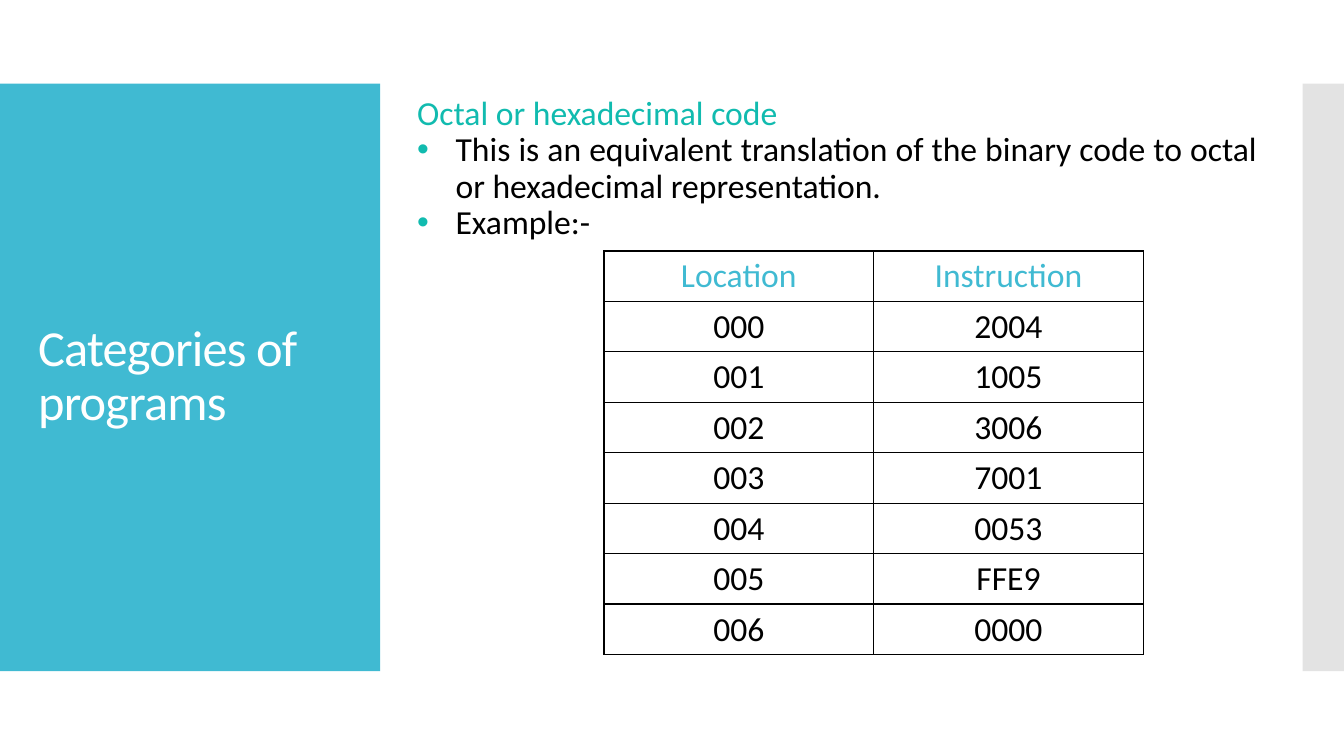
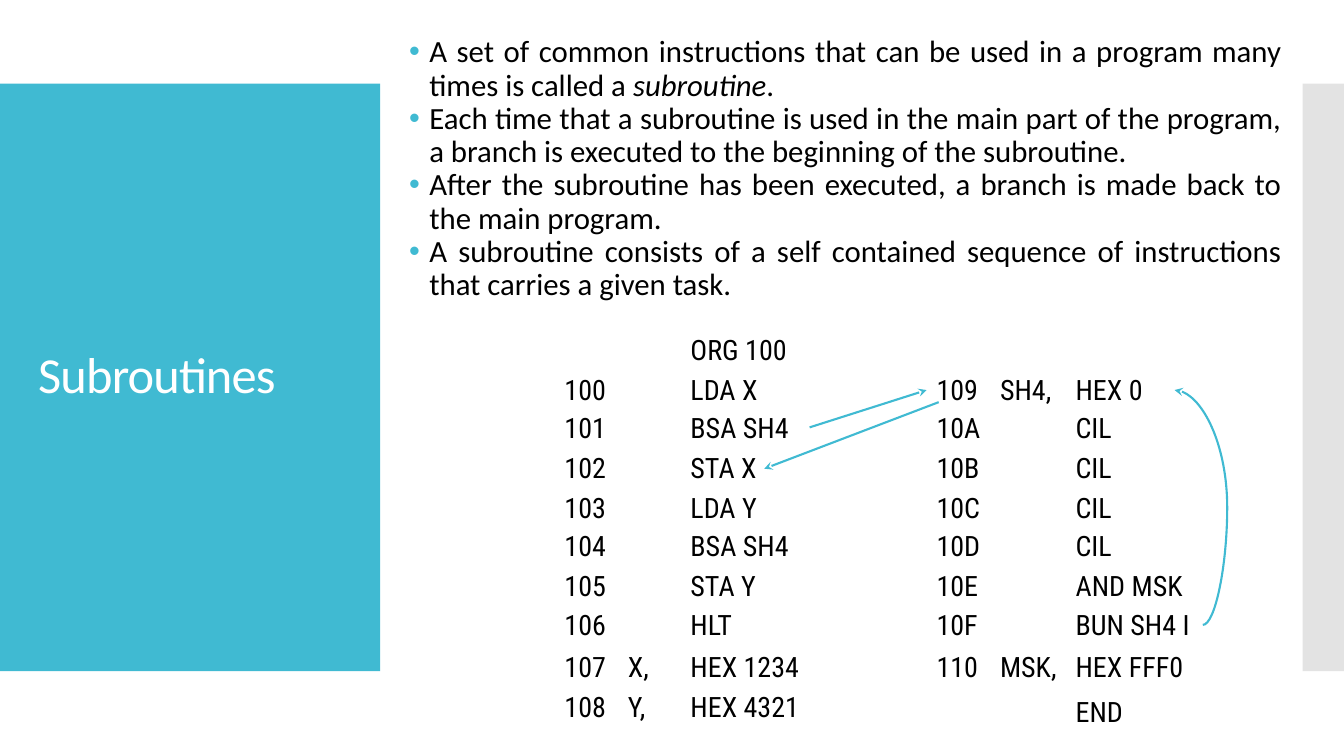
from dataclasses import dataclass

from lxml.etree import SubElement
from pptx import Presentation
from pptx.dml.color import RGBColor
from pptx.enum.shapes import MSO_CONNECTOR, MSO_SHAPE
from pptx.enum.text import MSO_ANCHOR, PP_ALIGN
from pptx.oxml import parse_xml
from pptx.oxml.ns import nsdecls, qn
from pptx.util import Inches, Pt

# Shared style
BLUE = "40BAD2"
TEAL = "11BBAF"
GREY = "C8C8C8"
BLACK = "000000"
WHITE = "FFFFFF"
TEXT_FONT = "Calibri"
CODE_FONT = "Roboto Condensed"
BAND_TOP, BAND_HEIGHT = 0.83, 5.83


@dataclass(frozen=True)
class Box:
    left: float
    top: float
    width: float
    height: float

    def lengths(self) -> tuple:
        return tuple(Inches(v) for v in (self.left, self.top, self.width, self.height))


@dataclass(frozen=True)
class BodyLine:
    text: str
    color: str = BLACK
    bulleted: bool = True
    italic_word: str = ""


@dataclass(frozen=True)
class BodyStyle:
    size: int
    indent: float
    bullet_color: str


@dataclass(frozen=True)
class CodeLine:
    address: str
    label: str
    instruction: str
    drop: float = 0


@dataclass(frozen=True)
class Arrow:
    start: tuple[float, float]
    end: tuple[float, float]
    bend: int | None = None


# Content
OCTAL_BODY = [
    BodyLine("Octal or hexadecimal code", TEAL, bulleted=False),
    BodyLine("This is an equivalent translation of the binary code to octal "
             "or hexadecimal representation."),
    BodyLine("Example:-"),
]
OCTAL_TABLE = [
    ("Location", "Instruction"),
    ("000", "2004"),
    ("001", "1005"),
    ("002", "3006"),
    ("003", "7001"),
    ("004", "0053"),
    ("005", "FFE9"),
    ("006", "0000"),
]
SUBROUTINE_BODY = [
    BodyLine("A set of common instructions that can be used in a program many "
             "times is called a subroutine.", italic_word="subroutine"),
    BodyLine("Each time that a subroutine is used in the main part of the program, "
             "a branch is executed to the beginning of the subroutine."),
    BodyLine("After the subroutine has been executed, a branch is made back to "
             "the main program."),
    BodyLine("A subroutine consists of a self contained sequence of instructions "
             "that carries a given task."),
]
MAIN_PROGRAM = [
    CodeLine("", "", "ORG 100"),
    CodeLine("100", "", "LDA X"),
    CodeLine("101", "", "BSA SH4"),
    CodeLine("102", "", "STA X"),
    CodeLine("103", "", "LDA Y"),
    CodeLine("104", "", "BSA SH4"),
    CodeLine("105", "", "STA Y"),
    CodeLine("106", "", "HLT"),
    CodeLine("107", "X,", "HEX 1234"),
    CodeLine("108", "Y,", "HEX 4321"),
]
SUBROUTINE = [
    CodeLine("", "", ""),
    CodeLine("109", "SH4,", "HEX 0"),
    CodeLine("10A", "", "CIL"),
    CodeLine("10B", "", "CIL"),
    CodeLine("10C", "", "CIL"),
    CodeLine("10D", "", "CIL"),
    CodeLine("10E", "", "AND MSK"),
    CodeLine("10F", "", "BUN SH4 I"),
    CodeLine("110", "MSK,", "HEX FFF0"),
    CodeLine("", "", "END", drop=0.05),
]
LINE_TOPS = (3.25, 3.65, 4.02, 4.42, 4.82, 5.19, 5.59, 5.98, 6.39, 6.79)
ARROWS = [
    Arrow((8.03, 4.24), (9.19, 3.87)),
    Arrow((11.93, 6.2), (11.65, 3.87), bend=-86600),
    Arrow((9.31, 3.99), (7.58, 4.65)),
]


def rgb(color: str) -> RGBColor:
    return RGBColor.from_string(color)


def style_run(run, size: float, color: str, font: str = TEXT_FONT) -> None:
    run.font.size = Pt(size)
    run.font.name = font
    run.font.color.rgb = rgb(color)


def add_text_box(slide, box: Box):
    text_frame = slide.shapes.add_textbox(*box.lengths()).text_frame
    text_frame.word_wrap = True
    return text_frame


def add_band(slide, box: Box, color: str, opacity: int = 100) -> None:
    shape = slide.shapes.add_shape(MSO_SHAPE.RECTANGLE, *box.lengths())
    shape.shadow.inherit = False
    shape.line.fill.background()
    shape.fill.solid()
    shape.fill.fore_color.rgb = rgb(color)
    if opacity < 100:
        color_element = shape.fill._xPr.find(".//" + qn("a:srgbClr"))
        SubElement(color_element, qn("a:alpha")).set("val", str(opacity * 1000))


def add_titled_slide(presentation, title: str):
    """Add a blank slide with both side bands and its title."""
    slide = presentation.slides.add_slide(presentation.slide_layouts[6])
    add_band(slide, Box(0, BAND_TOP, 3.77, BAND_HEIGHT), BLUE)
    add_band(slide, Box(12.92, BAND_TOP, 0.42, BAND_HEIGHT), GREY, opacity=50)
    text_frame = add_text_box(slide, Box(0.28, 1.23, 3.22, 5.03))
    text_frame.vertical_anchor = MSO_ANCHOR.MIDDLE
    paragraph = text_frame.paragraphs[0]
    paragraph.text = title
    paragraph.line_spacing = 0.9
    run = paragraph.runs[0]
    style_run(run, 36, WHITE)
    run.font._element.set("spc", "-60")
    return slide


def set_bullet(paragraph, style: BodyStyle) -> None:
    properties = paragraph._p.get_or_add_pPr()
    indent = Inches(style.indent)
    properties.set("marL", str(indent))
    properties.set("indent", str(-indent))
    color = SubElement(properties, qn("a:buClr"))
    SubElement(color, qn("a:srgbClr")).set("val", style.bullet_color)
    SubElement(properties, qn("a:buFont")).set("typeface", "Arial")
    SubElement(properties, qn("a:buChar")).set("char", "•")


def add_body(slide, box: Box, lines: list[BodyLine], style: BodyStyle) -> None:
    text_frame = add_text_box(slide, box)
    for index, line in enumerate(lines):
        paragraph = text_frame.add_paragraph() if index else text_frame.paragraphs[0]
        if line.bulleted:
            set_bullet(paragraph, style)
        paragraph.alignment = PP_ALIGN.JUSTIFY
        paragraph.line_spacing = 0.9
        parts = line.text.partition(line.italic_word) if line.italic_word else (line.text,)
        for part in parts:
            run = paragraph.add_run()
            run.text = part
            style_run(run, style.size, line.color)
            run.font.italic = part == line.italic_word


def set_borders(cell, color: str) -> None:
    properties = cell._tc.get_or_add_tcPr()
    for index, side in enumerate(("lnL", "lnR", "lnT", "lnB")):
        properties.insert(index, parse_xml(
            f'<a:{side} {nsdecls("a")} w="{Pt(1)}"><a:solidFill>'
            f'<a:srgbClr val="{color}"/></a:solidFill></a:{side}>'))


def add_code_table(slide, box: Box, rows: list[tuple[str, str]]) -> None:
    frame = slide.shapes.add_table(len(rows), len(rows[0]), *box.lengths())
    table = frame.table
    table.first_row = False
    table.horz_banding = False
    for row_index, row in enumerate(rows):
        for column_index, text in enumerate(row):
            cell = table.cell(row_index, column_index)
            cell.fill.background()
            set_borders(cell, BLACK)
            paragraph = cell.text_frame.paragraphs[0]
            paragraph.text = text
            paragraph.alignment = PP_ALIGN.CENTER
            style_run(paragraph.runs[0], 24, BLACK if row_index else BLUE)


def add_listing(slide, lines: list[CodeLine], columns: tuple[float, float, float]) -> None:
    """Draw address, label and instruction at the three column positions."""
    widths = (0.68, 0.79, 1.47)
    for line, top in zip(lines, LINE_TOPS):
        texts = (line.address, line.label, line.instruction)
        for text, left, width in zip(texts, columns, widths):
            if text:
                box = Box(left, top + line.drop, width, 0.44)
                paragraph = add_text_box(slide, box).paragraphs[0]
                paragraph.text = text
                style_run(paragraph.runs[0], 20, BLACK, CODE_FONT)


def add_arrow(slide, arrow: Arrow) -> None:
    kind = MSO_CONNECTOR.STRAIGHT if arrow.bend is None else MSO_CONNECTOR.CURVE
    ends = [Inches(value) for value in arrow.start + arrow.end]
    connector = slide.shapes.add_connector(kind, *ends)
    connector.line.color.rgb = rgb(BLUE)
    connector.line.width = Pt(1.5)
    properties = connector._element.spPr
    SubElement(properties.find(qn("a:ln")), qn("a:tailEnd")).set("type", "stealth")
    SubElement(properties, qn("a:effectLst"))
    if arrow.bend is not None:
        adjustments = properties.find(qn("a:prstGeom")).get_or_add_avLst()
        guide = SubElement(adjustments, qn("a:gd"))
        guide.set("name", "adj1")
        guide.set("fmla", f"val {arrow.bend}")


def main() -> None:
    presentation = Presentation()
    presentation.slide_width = Inches(13.33)
    presentation.slide_height = Inches(7.5)

    # Octal and hexadecimal code
    slide = add_titled_slide(presentation, "Categories of programs")
    add_body(slide, Box(4.04, 0.91, 8.53, 1.73), OCTAL_BODY, BodyStyle(24, 0.38, TEAL))
    add_code_table(slide, Box(5.99, 2.49, 5.35, 4), OCTAL_TABLE)

    # Subroutine calls
    slide = add_titled_slide(presentation, "Subroutines")
    add_body(slide, Box(3.96, 0.31, 8.85, 3.21), SUBROUTINE_BODY, BodyStyle(22, 0.2, BLUE))
    add_listing(slide, MAIN_PROGRAM, (5.5, 6.13, 6.75))
    add_listing(slide, SUBROUTINE, (9.19, 9.82, 10.57))
    for arrow in ARROWS:
        add_arrow(slide, arrow)

    presentation.save("out.pptx")


if __name__ == "__main__":
    main()
